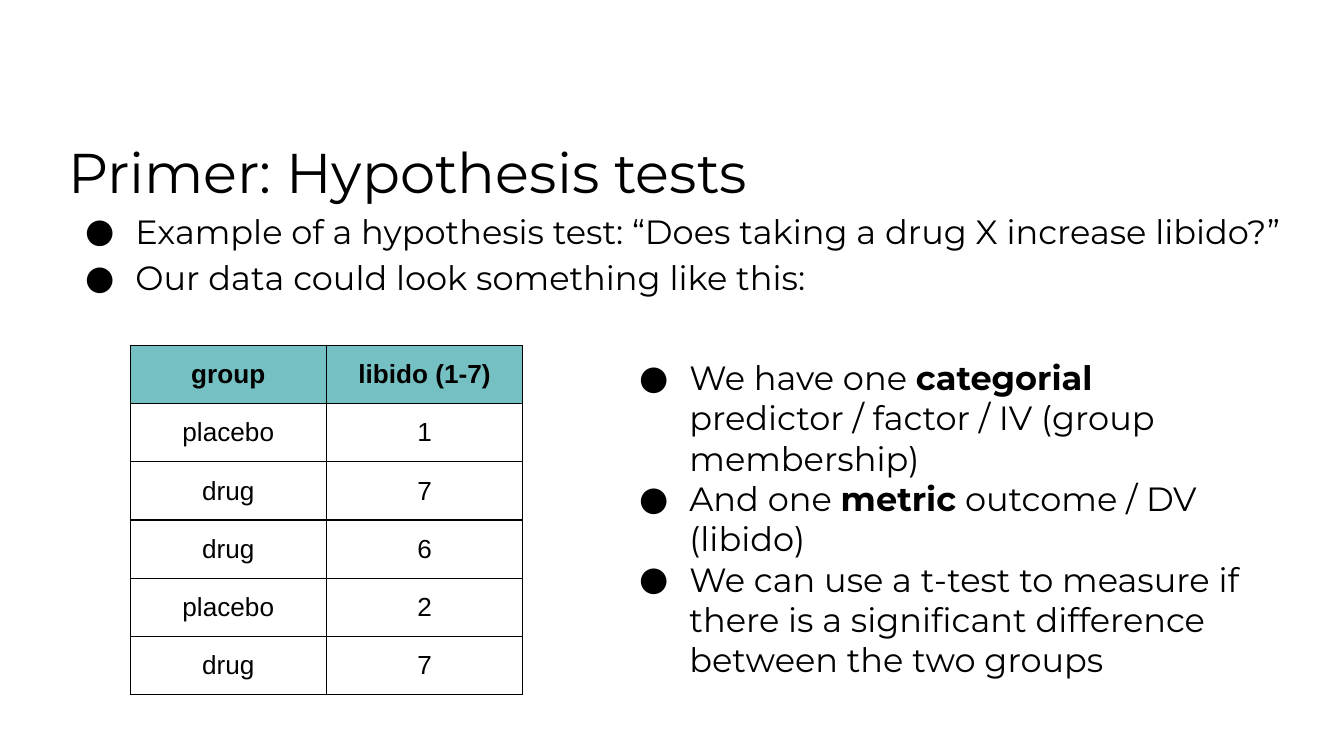
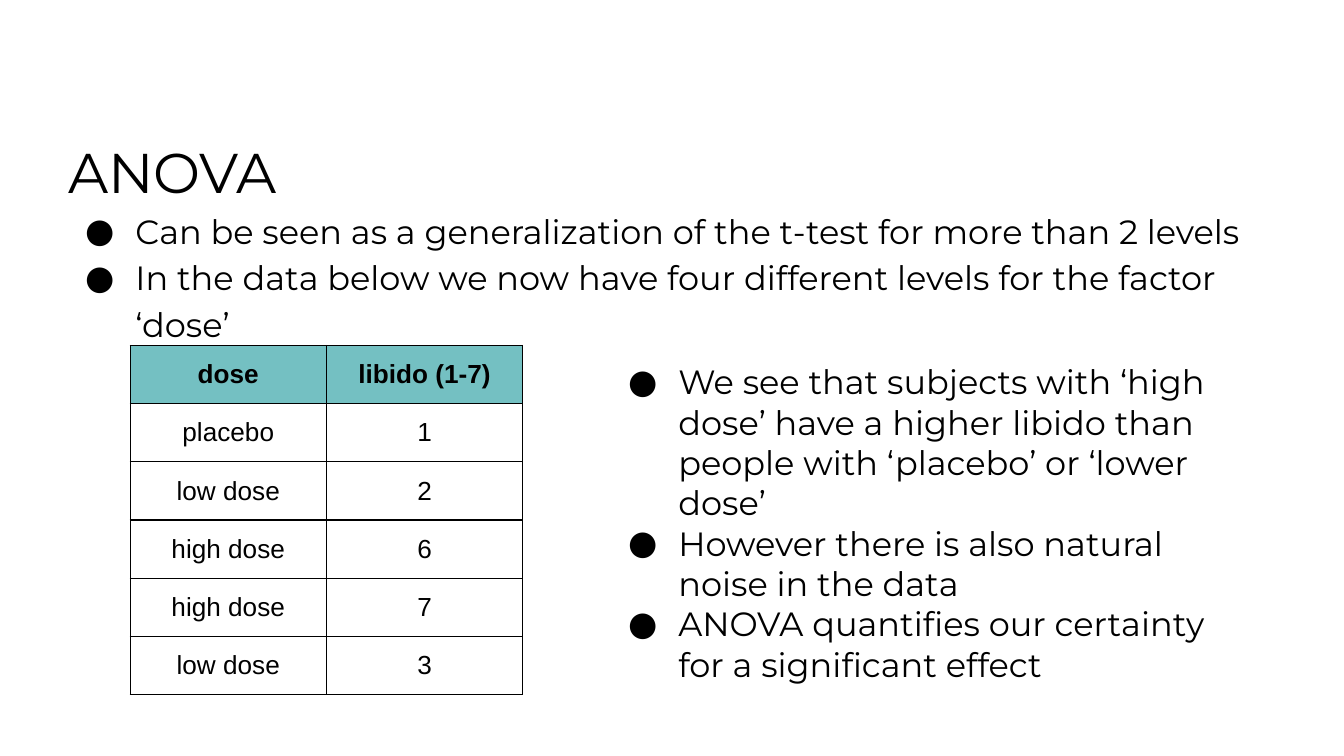
from lxml import etree
from pptx import Presentation
from pptx.dml.color import RGBColor
from pptx.enum import text as t
from pptx.oxml import ns
from pptx.util import Cm, Pt

INK, TEAL = "000000", "74C0C2"
FONT, GRID_FONT = "Montserrat", "Arial"
PAD = Cm(0.25)
HEAD_BOX = (1.04, 2.16, 23.5, 10.9)
GRID_BOX = (2.46, 6.53, 7.42, 6.6)

SLIDES = [
    dict(
        head="Primer: Hypothesis tests",
        intro=["Example of a hypothesis test: “Does taking a drug X increase libido?”",
               "Our data could look something like this:"],
        rows=[("group", "libido (1-7)"), ("placebo", 1), ("drug", 7),
              ("drug", 6), ("placebo", 2), ("drug", 7)],
        box=(11.51, 6.5, 12.42, 6.58),
        notes=["We have one *categorial* predictor / factor / IV (group membership)",
               "And one *metric* outcome / DV (libido)",
               "We can use a t-test to measure if there is a significant difference "
               "between the two groups"],
    ),
    dict(
        head="ANOVA",
        intro=["Can be seen as a generalization of the t-test for more than 2 levels",
               "In the data below we now have four different levels for the factor ‘dose’"],
        rows=[("dose", "libido (1-7)"), ("placebo", 1), ("low dose", 2),
              ("high dose", 6), ("high dose", 7), ("low dose", 3)],
        box=(11.3, 6.58, 12.06, 6.55),
        notes=["We see that subjects with ‘high dose’ have a higher libido than people "
               "with ‘placebo’ or ‘lower dose’",
               "However there is also natural noise in the data",
               "ANOVA quantifies our certainty for a significant effect"],
    ),
]


def color(code):
    """Turn a hex string into a colour."""
    return RGBColor.from_string(code)


def add(node, tag, **attrs):
    """Append a drawing element to a node and return it."""
    return etree.SubElement(node, ns.qn("a:" + tag), attrs)


def style(run, size, font=FONT, bold=False):
    """Format one run."""
    run.font.size, run.font.name, run.font.bold = Pt(size), font, bold
    run.font.color.rgb = color(INK)


def pad(item):
    """Give a frame or cell equal margins."""
    item.margin_left = item.margin_right = PAD
    item.margin_top = item.margin_bottom = PAD


def write(para, line, size, gap):
    """Fill a left-aligned paragraph; words between stars are bold."""
    para.alignment, para.line_spacing = t.PP_ALIGN.LEFT, gap
    for i, part in enumerate(line.split("*")):
        run = para.add_run()
        run.text = part
        style(run, size, bold=i % 2 == 1)


def bullet(para):
    """Give a paragraph a hanging round bullet."""
    props = para._p.get_or_add_pPr()
    props.set("marL", str(Cm(1.27)))
    props.set("indent", str(-Cm(0.95)))
    add(add(props, "buClr"), "srgbClr", val=INK)
    add(props, "buFont", typeface=FONT)
    add(props, "buChar", char="●")


def fill_text(shape, box, lines, gap=1.0, head=None):
    """Place a text shape and fill it with an optional heading and bullets."""
    shape.left, shape.top, shape.width, shape.height = map(Cm, box)
    frame = shape.text_frame
    frame.word_wrap, frame.auto_size = True, t.MSO_AUTO_SIZE.NONE
    frame.vertical_anchor = t.MSO_ANCHOR.TOP
    pad(frame)
    para = frame.paragraphs[0]
    if head:
        write(para, head, 30, gap)
    for i, line in enumerate(lines):
        if head or i:
            para = frame.add_paragraph()
        write(para, line, 18, gap)
        bullet(para)


def edge(cell):
    """Draw thin lines on all four sides of a cell."""
    props = cell._tc.get_or_add_tcPr()
    for side in "LRTB":
        line = add(props, "ln" + side, w=str(Pt(0.75)))
        add(add(line, "solidFill"), "srgbClr", val=INK)


def add_grid(slide, box, rows):
    """Add the data table with a tinted header row."""
    table = slide.shapes.add_table(len(rows), len(rows[0]), *map(Cm, box)).table
    for r, row in enumerate(rows):
        for c, value in enumerate(row):
            cell = table.cell(r, c)
            cell.text_frame.text = str(value)
            cell.vertical_anchor = t.MSO_ANCHOR.MIDDLE
            pad(cell)
            para = cell.text_frame.paragraphs[0]
            para.alignment = t.PP_ALIGN.CENTER
            style(para.runs[0], 14, GRID_FONT, r == 0)
            edge(cell)
            if r:
                cell.fill.background()
            else:
                cell.fill.solid()
                cell.fill.fore_color.rgb = color(TEAL)


def add_slide(deck, head, intro, rows, box, notes):
    """Add a slide with heading, table and notes beside it."""
    slide = deck.slides.add_slide(deck.slide_layouts[5])
    fill_text(slide.shapes.title, HEAD_BOX, intro, 1.15, head)
    add_grid(slide, GRID_BOX, rows)
    fill_text(slide.shapes.add_textbox(0, 0, 0, 0), box, notes)


def main():
    """Build and save the deck."""
    deck = Presentation()
    deck.slide_width, deck.slide_height = Cm(25.4), Cm(14.29)
    for data in SLIDES:
        add_slide(deck, **data)
    deck.save("out.pptx")


if __name__ == "__main__":
    main()
